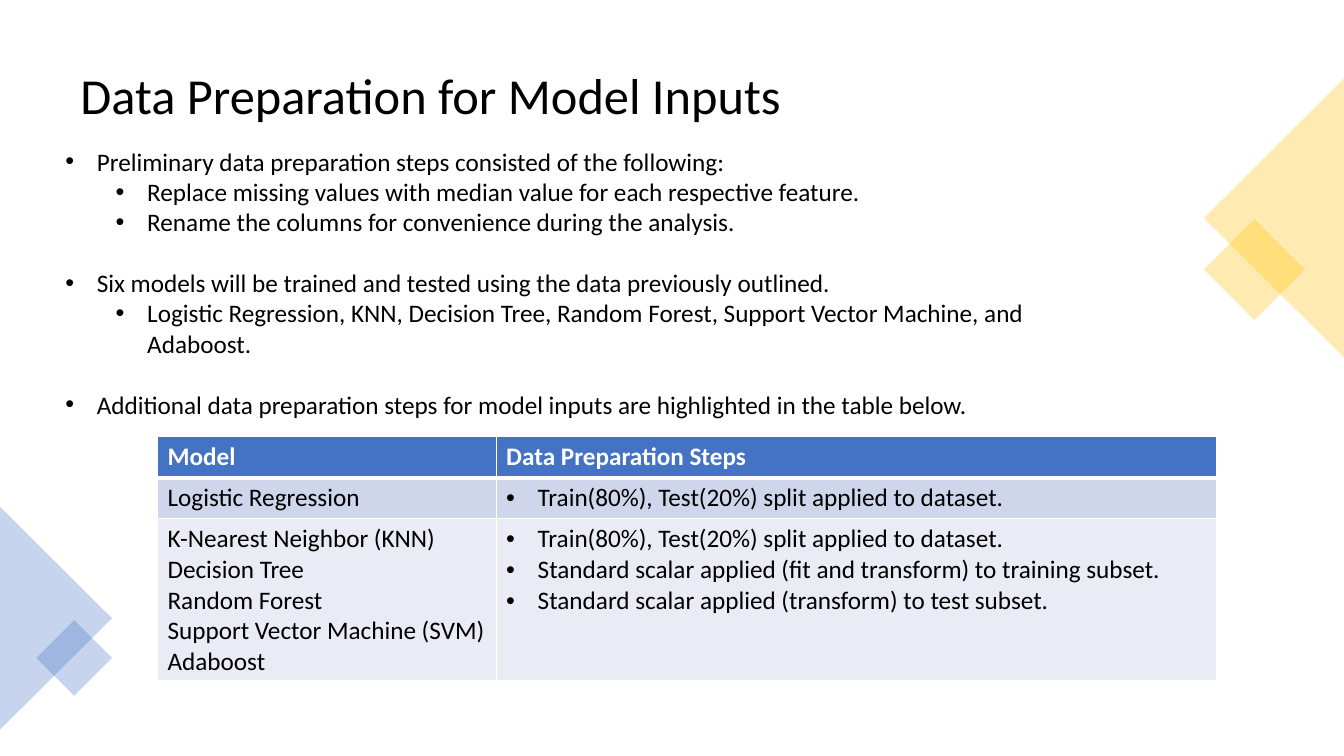
from dataclasses import dataclass

from lxml.etree import SubElement
from pptx import Presentation
from pptx.dml.color import RGBColor
from pptx.enum.shapes import MSO_SHAPE
from pptx.enum.text import MSO_ANCHOR, MSO_AUTO_SIZE
from pptx.oxml import parse_xml
from pptx.oxml.ns import nsdecls, qn
from pptx.util import Pt


@dataclass(frozen=True)
class Theme:
    font: str = "Calibri"
    title_size: float = 36
    body_size: float = 18
    text: str = "000000"
    white: str = "FFFFFF"
    gold: str = "FFC000"
    blue: str = "4472C4"
    row_fills: tuple = ("4472C4", "CFD5EA", "E9EBF5")
    opacity: int = 30
    thin_border: float = 1
    thick_border: float = 3


THEME = Theme()
HANGING = 22.5
LEVEL_STEP = 36
SECTION_GAP = 22

OUTLINE = [
    ("Preliminary data preparation steps consisted of the following:", 0, 0),
    ("Replace missing values with median value for each respective feature.", 1, 0),
    ("Rename the columns for convenience during the analysis.", 1, 0),
    ("Six models will be trained and tested using the data previously outlined.", 0, SECTION_GAP),
    ("Logistic Regression, KNN, Decision Tree, Random Forest, "
     "Support Vector Machine, and Adaboost.", 1, 0),
    ("Additional data preparation steps for model inputs are highlighted "
     "in the table below.", 0, SECTION_GAP),
]

SPLIT_STEP = "Train(80%), Test(20%) split applied to dataset."
TABLE_ROWS = [
    (["Model"], ["Data Preparation Steps"]),
    (["Logistic Regression"], [SPLIT_STEP]),
    (["K-Nearest Neighbor (KNN)", "Decision Tree", "Random Forest",
      "Support Vector Machine (SVM)", "Adaboost"],
     [SPLIT_STEP,
      "Standard scalar applied (fit and transform) to training subset.",
      "Standard scalar applied (transform) to test subset."]),
]


def apply_format(target, values):
    for name, value in values.items():
        setattr(target, name, value)


def in_points(*lengths):
    return [Pt(length) for length in lengths]


def write_run(paragraph, text, size, color=THEME.text, bold=False):
    run = paragraph.add_run()
    run.text = text
    apply_format(run.font, {"name": THEME.font, "size": Pt(size), "bold": bold})
    run.font.color.rgb = RGBColor.from_string(color)


def add_bullet(paragraph, level=0):
    properties = paragraph._p.get_or_add_pPr()
    properties.set("marL", str(Pt(HANGING + level * LEVEL_STEP)))
    properties.set("indent", str(Pt(-HANGING)))
    SubElement(properties, qn("a:buFont")).set("typeface", "Arial")
    SubElement(properties, qn("a:buChar")).set("char", "•")


def get_paragraph(text_frame, index):
    return text_frame.add_paragraph() if index else text_frame.paragraphs[0]


def add_title(slide, box, text):
    text_frame = slide.shapes.add_textbox(*in_points(*box)).text_frame
    apply_format(text_frame, {"word_wrap": True, "vertical_anchor": MSO_ANCHOR.MIDDLE})
    paragraph = text_frame.paragraphs[0]
    paragraph.line_spacing = 0.9
    write_run(paragraph, text, THEME.title_size)


def add_outline(slide, box):
    text_frame = slide.shapes.add_textbox(*in_points(*box)).text_frame
    apply_format(text_frame, {"word_wrap": True, "auto_size": MSO_AUTO_SIZE.SHAPE_TO_FIT_TEXT})
    for index, (text, level, gap) in enumerate(OUTLINE):
        paragraph = get_paragraph(text_frame, index)
        apply_format(paragraph, {"level": level, "space_before": Pt(gap)})
        add_bullet(paragraph, level)
        write_run(paragraph, text, THEME.body_size)


def add_tinted_shape(slide, kind, center, size, rotation, color):
    left, top = (middle - length / 2 for middle, length in zip(center, size))
    shape = slide.shapes.add_shape(kind, *in_points(left, top, *size))
    shape.rotation = rotation
    shape.shadow.inherit = False
    shape.fill.solid()
    shape.fill.fore_color.rgb = RGBColor.from_string(color)
    fill_color = shape.fill._xPr.find(qn("a:solidFill"))[0]
    SubElement(fill_color, qn("a:alpha")).set("val", str(THEME.opacity * 1000))
    shape.line.fill.background()


def add_edge_ornament(slide, box, rotation, diamond_offset, diamond_side, color):
    left, top, width, height = box
    add_tinted_shape(slide, MSO_SHAPE.RECTANGLE,
                     (left + diamond_offset[0], top + diamond_offset[1]),
                     (diamond_side, diamond_side), 45, color)
    add_tinted_shape(slide, MSO_SHAPE.ISOSCELES_TRIANGLE,
                     (left + width / 2, top + height / 2),
                     (height, width), rotation, color)


def set_borders(cell, row_index):
    widths = {
        "lnL": THEME.thin_border,
        "lnR": THEME.thin_border,
        "lnT": THEME.thick_border if row_index == 1 else THEME.thin_border,
        "lnB": THEME.thick_border if row_index == 0 else THEME.thin_border,
    }
    properties = cell._tc.get_or_add_tcPr()
    for position, (tag, width) in enumerate(widths.items()):
        properties.insert(position, parse_xml(
            f'<a:{tag} {nsdecls("a")} w="{Pt(width)}"><a:solidFill>'
            f'<a:srgbClr val="{THEME.white}"/></a:solidFill></a:{tag}>'))


def add_steps_table(slide, box, first_column, row_height):
    width, height = box[2:]
    table = slide.shapes.add_table(len(TABLE_ROWS), 2, *in_points(*box)).table
    for column, length in zip(table.columns, (first_column, width - first_column)):
        column.width = Pt(length)
    for row, length in zip(table.rows, (row_height, row_height, height - 2 * row_height)):
        row.height = Pt(length)
    for row_index, contents in enumerate(TABLE_ROWS):
        header = row_index == 0
        for column_index, lines in enumerate(contents):
            cell = table.cell(row_index, column_index)
            cell.fill.solid()
            cell.fill.fore_color.rgb = RGBColor.from_string(THEME.row_fills[row_index])
            set_borders(cell, row_index)
            for index, text in enumerate(lines):
                paragraph = get_paragraph(cell.text_frame, index)
                if column_index and not header:
                    add_bullet(paragraph)
                write_run(paragraph, text, THEME.body_size,
                          THEME.white if header else THEME.text, header)


def build_slide(presentation):
    slide = presentation.slides.add_slide(presentation.slide_layouts[6])
    add_title(slide, (50.4, 25.2, 859, 89.3), "Data Preparation for Model Inputs")
    add_edge_ornament(slide, (860, 56, 100, 199.4), 270, (36, 136.5), 51.1, THEME.gold)
    add_edge_ornament(slide, (0, 362, 80, 159.2), 90, (53, 108), 38.2, THEME.blue)
    add_steps_table(slide, (112.5, 312, 756.7, 174.5), 241.9, 29.2)
    add_outline(slide, (39.6, 100.8, 712, 203.8))


def main():
    presentation = Presentation()
    apply_format(presentation, {"slide_width": Pt(960), "slide_height": Pt(540)})
    build_slide(presentation)
    presentation.save("out.pptx")


if __name__ == "__main__":
    main()
